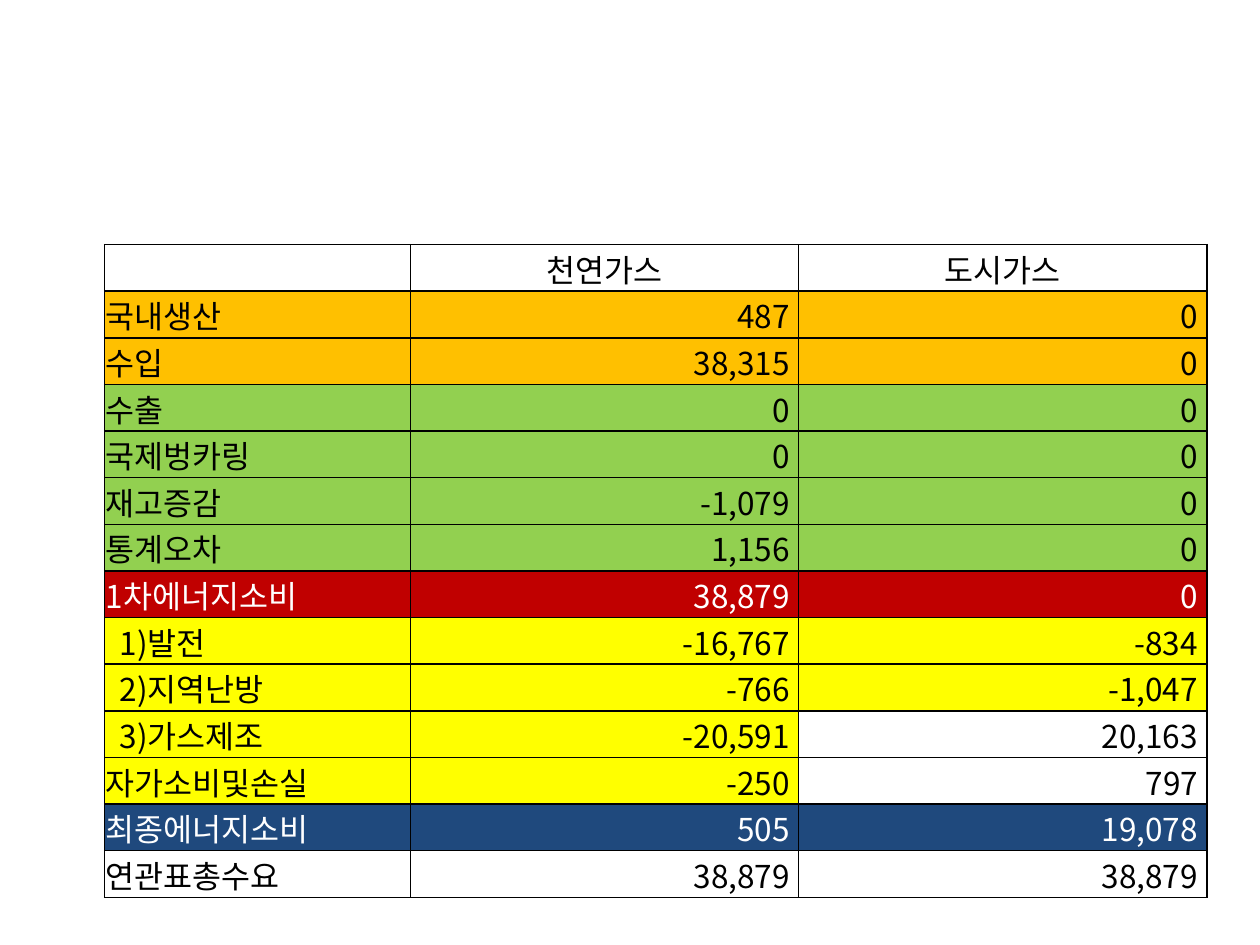
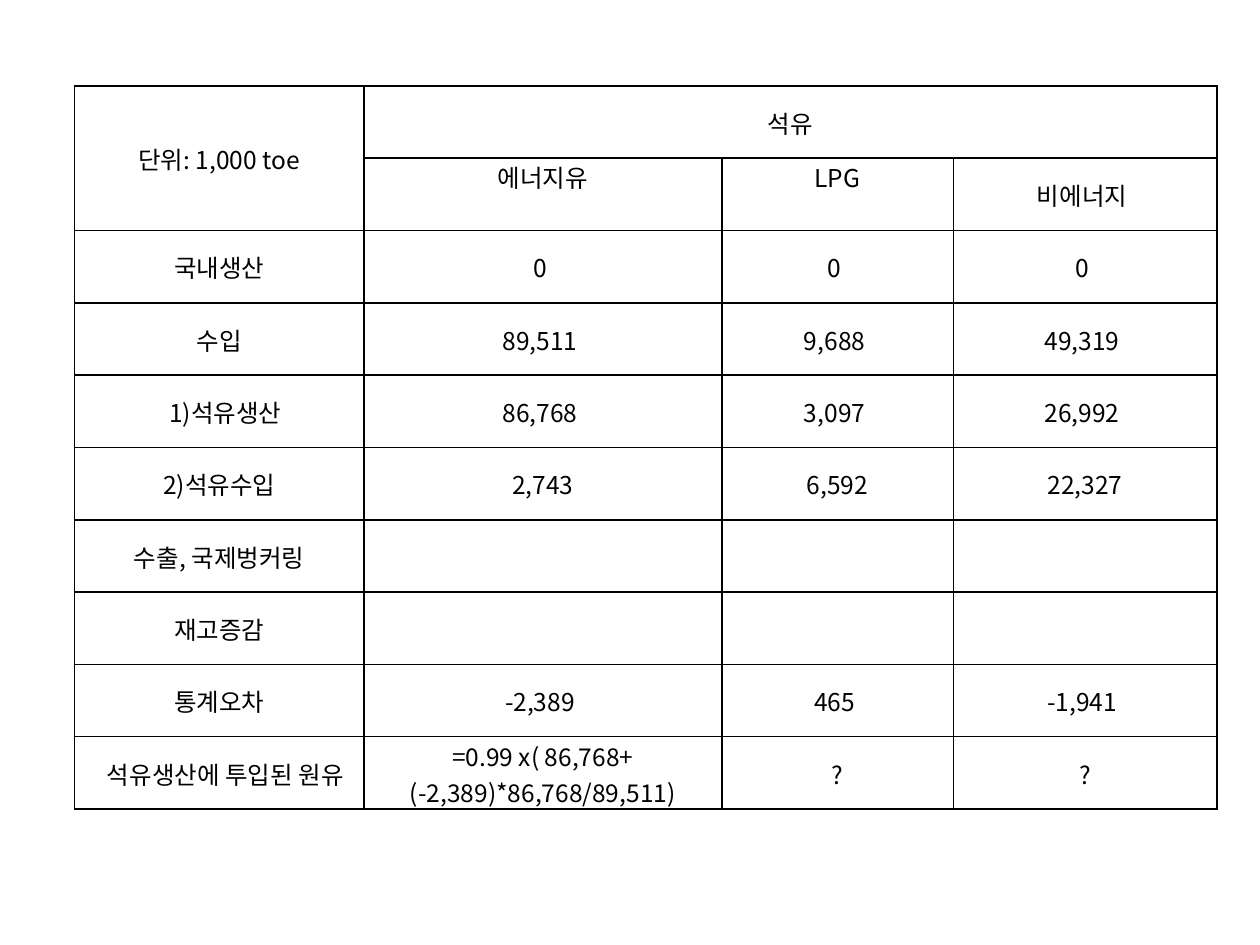
from dataclasses import dataclass

from lxml.etree import SubElement
from pptx import Presentation
from pptx.dml.color import RGBColor
from pptx.enum.text import MSO_ANCHOR as ANCHOR, PP_ALIGN as ALIGN
from pptx.oxml import parse_xml
from pptx.oxml.ns import nsdecls, qn
from pptx.util import Cm, Pt


@dataclass(frozen=True)
class Theme:
    font: str = "Noto Sans CJK KR"
    black: str = "000000"
    white: str = "FFFFFF"
    supply: str = "FFC000"
    adjustment: str = "92D050"
    primary: str = "C00000"
    conversion: str = "FFFF00"
    final: str = "1F497D"
    gas_size: int = 18
    oil_size: int = 14
    border: float = 1


THEME = Theme()
GAS_BOX = (2.11, 4.93, 22.2, 11.05)
GAS_COLS = (6.17, 7.82, 8.23)
OIL_BOX = (1.5, 1.73, 23.04, 14.58)
OIL_COLS = (5.84, 7.21, 4.67, 5.31)
NUMBER_GAP = 0.18
SUB_ITEM_INDENT = 0.3
TRAILING_GAP = 0.12
LEADING_GAP = 0.25

# label, natural gas, town gas, fill of the row
GAS_ROWS = [
    ("국내생산", "487", "0", THEME.supply),
    ("수입", "38,315", "0", THEME.supply),
    ("수출", "0", "0", THEME.adjustment),
    ("국제벙카링", "0", "0", THEME.adjustment),
    ("재고증감", "-1,079", "0", THEME.adjustment),
    ("통계오차", "1,156", "0", THEME.adjustment),
    ("1차에너지소비", "38,879", "0", THEME.primary),
    ("1)발전", "-16,767", "-834", THEME.conversion),
    ("2)지역난방", "-766", "-1,047", THEME.conversion),
    ("3)가스제조", "-20,591", "20,163", THEME.conversion),
    ("자가소비및손실", "-250", "797", THEME.conversion),
    ("최종에너지소비", "505", "19,078", THEME.final),
    ("연관표총수요", "38,879", "38,879", None),
]
UNFILLED_TOWN_GAS = ("3)가스제조", "자가소비및손실")

OIL_ROWS = [
    ("단위: 1,000 toe", "석유", "", ""),
    ("", "에너지유", "LPG", "비에너지"),
    ("국내생산", "0", "0", "0"),
    ("수입", "89,511", "9,688", "49,319"),
    ("1)석유생산", "86,768", "3,097", "26,992"),
    ("2)석유수입", "2,743", "6,592", "22,327"),
    ("수출, 국제벙커링", "", "", ""),
    ("재고증감", "", "", ""),
    ("통계오차", "-2,389", "465", "-1,941"),
    ("석유생산에 투입된 원유", "=0.99 x( 86,768+(-2,389)*86,768/89,511)", "?", "?"),
]
ROWS_WITH_TRAILING_GAP = ("국내생산", "수입", "1)석유생산", "통계오차")
INDENTED_OIL_LABELS = ("1)석유생산", "석유생산에 투입된 원유")


def add_grid(slide, box, col_widths, row_count):
    """Add a table without style bands, with its columns sized in cm."""
    frame = slide.shapes.add_table(row_count, len(col_widths), *map(Cm, box))
    table = frame.table
    table.first_row = table.horz_banding = False
    for column, width in zip(table.columns, col_widths):
        column.width = Cm(width)
    return table


def set_borders(cell):
    tc_pr = cell._tc.get_or_add_tcPr()
    for i, side in enumerate(("lnL", "lnR", "lnT", "lnB")):
        tc_pr.insert(i, parse_xml(
            f'<a:{side} {nsdecls("a")} w="{Pt(THEME.border)}"><a:solidFill>'
            f'<a:srgbClr val="{THEME.black}"/></a:solidFill></a:{side}>'))


def format_cell(cell, text, size, align, fill=None, color=THEME.black,
                anchor=ANCHOR.MIDDLE, left=0.02, right=0.02):
    values = {"margin_left": Cm(left), "margin_right": Cm(right),
              "margin_top": Cm(0.02), "margin_bottom": 0,
              "vertical_anchor": anchor}
    for name, value in values.items():
        setattr(cell, name, value)
    if fill:
        cell.fill.solid()
        cell.fill.fore_color.rgb = RGBColor.from_string(fill)
    else:
        cell.fill.background()
    set_borders(cell)

    p = cell.text_frame.paragraphs[0]
    p.alignment = align
    p.font.size = Pt(size)
    if text:
        r = p.add_run()
        r.text = text
        r.font.size = Pt(size)
        r.font.name = THEME.font
        r.font.color.rgb = RGBColor.from_string(color)
        SubElement(r.font._element, qn("a:ea"), typeface=THEME.font)


def add_gas_table(slide, box):
    table = add_grid(slide, box, GAS_COLS, len(GAS_ROWS) + 1)
    size = THEME.gas_size
    for col, heading in enumerate(("", "천연가스", "도시가스")):
        format_cell(table.cell(0, col), heading, size, ALIGN.CENTER)

    for row, (label, natural, town, fill) in enumerate(GAS_ROWS, 1):
        color = THEME.white if fill in (THEME.primary, THEME.final) else THEME.black
        indent = SUB_ITEM_INDENT if ")" in label else 0.02
        town_fill = None if label in UNFILLED_TOWN_GAS else fill
        format_cell(table.cell(row, 0), label, size, ALIGN.LEFT, fill, color, left=indent)
        for col, (number, number_fill) in enumerate(((natural, fill), (town, town_fill)), 1):
            format_cell(table.cell(row, col), number, size, ALIGN.RIGHT,
                        number_fill, color, right=NUMBER_GAP)


def add_oil_table(slide, box):
    table = add_grid(slide, box, OIL_COLS, len(OIL_ROWS))
    for row, texts in enumerate(OIL_ROWS):
        label = texts[0]
        for col, text in enumerate(texts):
            gap_after = text == "비에너지" or (col and label in ROWS_WITH_TRAILING_GAP)
            indented = text in INDENTED_OIL_LABELS
            on_top = text in ("에너지유", "LPG")
            format_cell(table.cell(row, col), text, THEME.oil_size, ALIGN.CENTER,
                        anchor=ANCHOR.TOP if on_top else ANCHOR.MIDDLE,
                        left=LEADING_GAP if indented else 0,
                        right=TRAILING_GAP if gap_after else 0)
    table.cell(0, 0).merge(table.cell(1, 0))
    table.cell(0, 1).merge(table.cell(0, 3))


def main():
    prs = Presentation()
    prs.slide_width, prs.slide_height = Cm(25.4), Cm(19.05)
    blank = prs.slide_layouts[6]
    add_gas_table(prs.slides.add_slide(blank), GAS_BOX)
    add_oil_table(prs.slides.add_slide(blank), OIL_BOX)
    prs.save("out.pptx")


if __name__ == "__main__":
    main()
